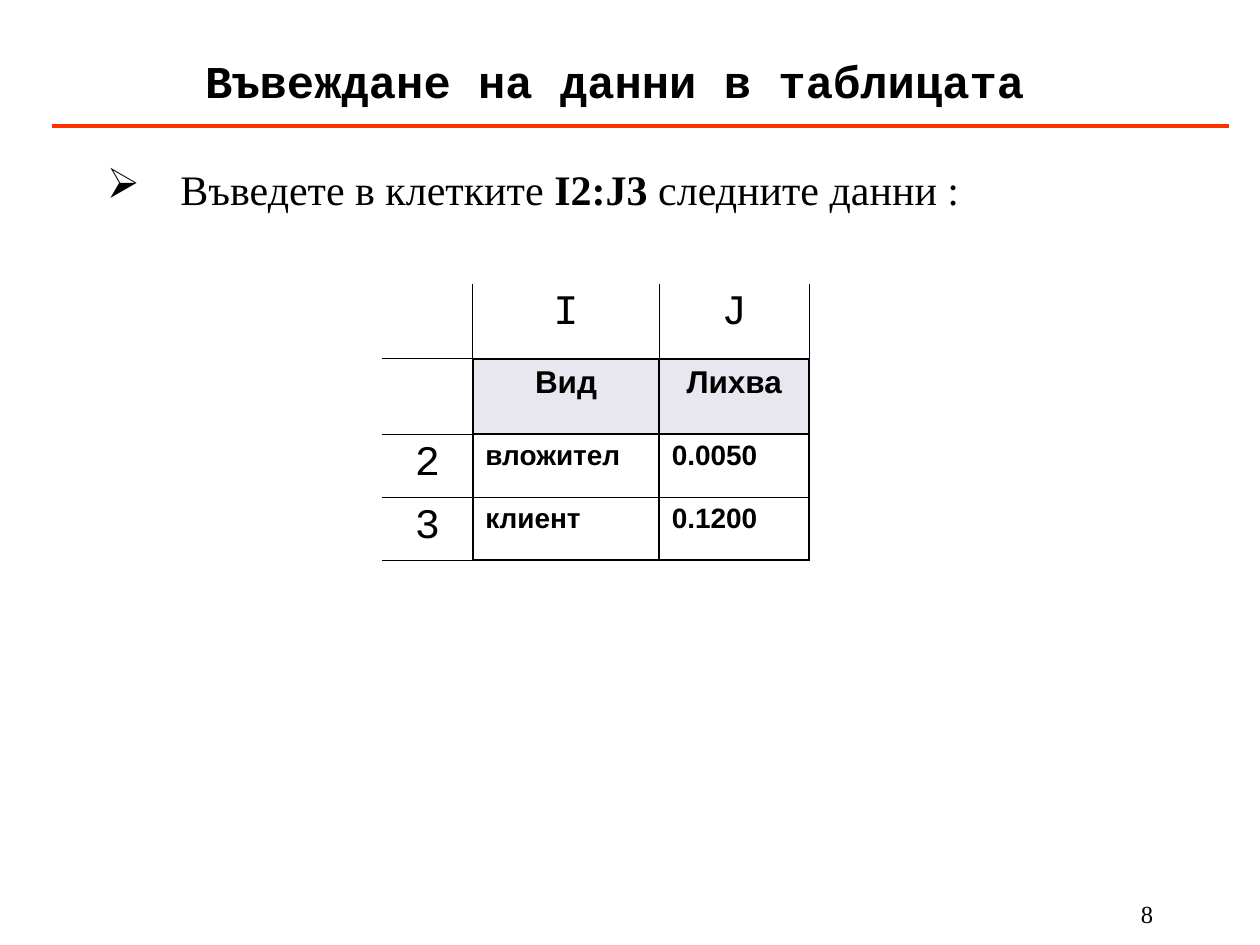
from lxml.etree import SubElement
from pptx import Presentation
from pptx.dml.color import RGBColor
from pptx.enum.shapes import MSO_CONNECTOR as Connector
from pptx.enum.text import MSO_ANCHOR as Anchor, PP_ALIGN as Align
from pptx.oxml.ns import qn
from pptx.util import Pt

BLACK, RED, LILAC = "000000", "FF3300", "D2D1E3"
SERIF, MONO, SANS = "Times New Roman", "Courier New", "Arial"
THIN, THICK = 0.45, 1.08


def color(value):
    return RGBColor.from_string(value)


def add_text(para, text, size=24, font=SERIF, bold=False, ink=BLACK):
    span = para.add_run()
    span.text = text
    span.font.size = Pt(size)
    span.font.name = font
    span.font.bold = bold
    span.font.color.rgb = color(ink)


def add_bullet(para, mark, indent):
    props = para._p.get_or_add_pPr()
    props.set("marL", str(Pt(indent)))
    props.set("indent", str(-Pt(indent)))
    tint = SubElement(props, qn("a:buClr"))
    SubElement(tint, qn("a:srgbClr"), val=BLACK)
    SubElement(props, qn("a:buChar"), char=mark)


def set_borders(cell, **widths):
    """Set the sides L, R, T and B; a width of 0 means no line."""
    props = cell._tc.get_or_add_tcPr()
    for place, side in enumerate("LRTB"):
        line = SubElement(props, qn(f"a:ln{side}"), w=str(Pt(widths[side])))
        if widths[side]:
            fill = SubElement(line, qn("a:solidFill"))
            SubElement(fill, qn("a:srgbClr"), val=BLACK)
        else:
            SubElement(line, qn("a:noFill"))
        props.insert(place, line)


class SlideMaker:
    def __init__(self, deck):
        self.slide = deck.slides.add_slide(deck.slide_layouts[6])

    def rule(self, left, top, right, ink, width):
        line = self.slide.shapes.add_connector(
            Connector.STRAIGHT, Pt(left), Pt(top), Pt(right), Pt(top))
        line.line.color.rgb = color(ink)
        line.line.width = Pt(width)
        SubElement(line._element.spPr, qn("a:effectLst"))

    def text(self, left, top, width, height, spans,
             align=Align.LEFT, anchor=Anchor.TOP, bullet=None):
        box = self.slide.shapes.add_textbox(Pt(left), Pt(top), Pt(width), Pt(height))
        frame = box.text_frame
        frame.word_wrap = True
        frame.vertical_anchor = anchor
        para = frame.paragraphs[0]
        para.alignment = align
        if bullet:
            add_bullet(para, bullet, 42)
        for words, style in spans:
            add_text(para, words, **style)

    def table(self, left, top, widths, heights, rows):
        table = self.slide.shapes.add_table(
            len(heights), len(widths), Pt(left), Pt(top),
            Pt(sum(widths)), Pt(sum(heights))).table
        table.first_row = table.horz_banding = False
        for column, width in zip(table.columns, widths):
            column.width = Pt(width)
        for row, height in zip(table.rows, heights):
            row.height = Pt(height)
        for r, words in enumerate(rows):
            for c, word in enumerate(words):
                self.cell(table.cell(r, c), r, c, word)

    def cell(self, cell, r, c, word):
        # Fill: only the header cells are tinted
        if r == 1 and c > 0:
            cell.fill.solid()
            cell.fill.fore_color.rgb = color(LILAC)
            tint = cell._tc.tcPr.find(f".//{qn('a:srgbClr')}")
            SubElement(tint, qn("a:alpha"), val="50000")
        else:
            cell.fill.background()

        # Borders: open at the left and top, thin around the sheet labels
        upright = THICK if r else THIN
        level = [0] + [THIN] * 4 if c == 0 else [0, THICK, THICK, THIN, THICK]
        set_borders(cell, L=upright if c else 0, R=upright, T=level[r], B=level[r + 1])

        # Text: sheet labels, header or data
        para = cell.text_frame.paragraphs[0]
        para.alignment = Align.LEFT if r > 1 and c > 0 else Align.CENTER
        if not word:
            return
        if r == 0 or c == 0:
            add_text(para, word, font=MONO)
        else:
            add_text(para, word, size=18 if r == 1 else 16, font=SANS, bold=True)


def main():
    deck = Presentation()
    deck.slide_width, deck.slide_height = Pt(720), Pt(540)
    page = SlideMaker(deck)

    # Title with rule, and page number
    page.rule(30, 72, 702, RED, 2.25)
    page.text(582, 510, 84, 18, [("8", {"size": 14})], align=Align.RIGHT)
    page.text(54, 18, 612, 54, [
        ("Въвеждане на данни в таблицата", {"size": 26, "font": MONO, "bold": True}),
        (" ", {"size": 28, "font": MONO, "bold": True}),
    ], align=Align.CENTER, anchor=Anchor.MIDDLE)

    # Sheet cells
    page.table(218.2, 162, [52, 106.5, 85.7], [43, 43, 34.5, 34.5], [
        ["", "I", "J"],
        ["", "Вид", "Лихва"],
        ["2", "вложител", "0.0050"],
        ["3", "клиент", "0.1200"],
    ])

    # Instruction
    page.text(54, 90, 623.5, 72, [
        ("Въведете в клетките ", {}),
        ("I2:J3 ", {"bold": True}),
        ("следните данни :", {}),
    ], bullet="➢")

    deck.save("out.pptx")


if __name__ == "__main__":
    main()
